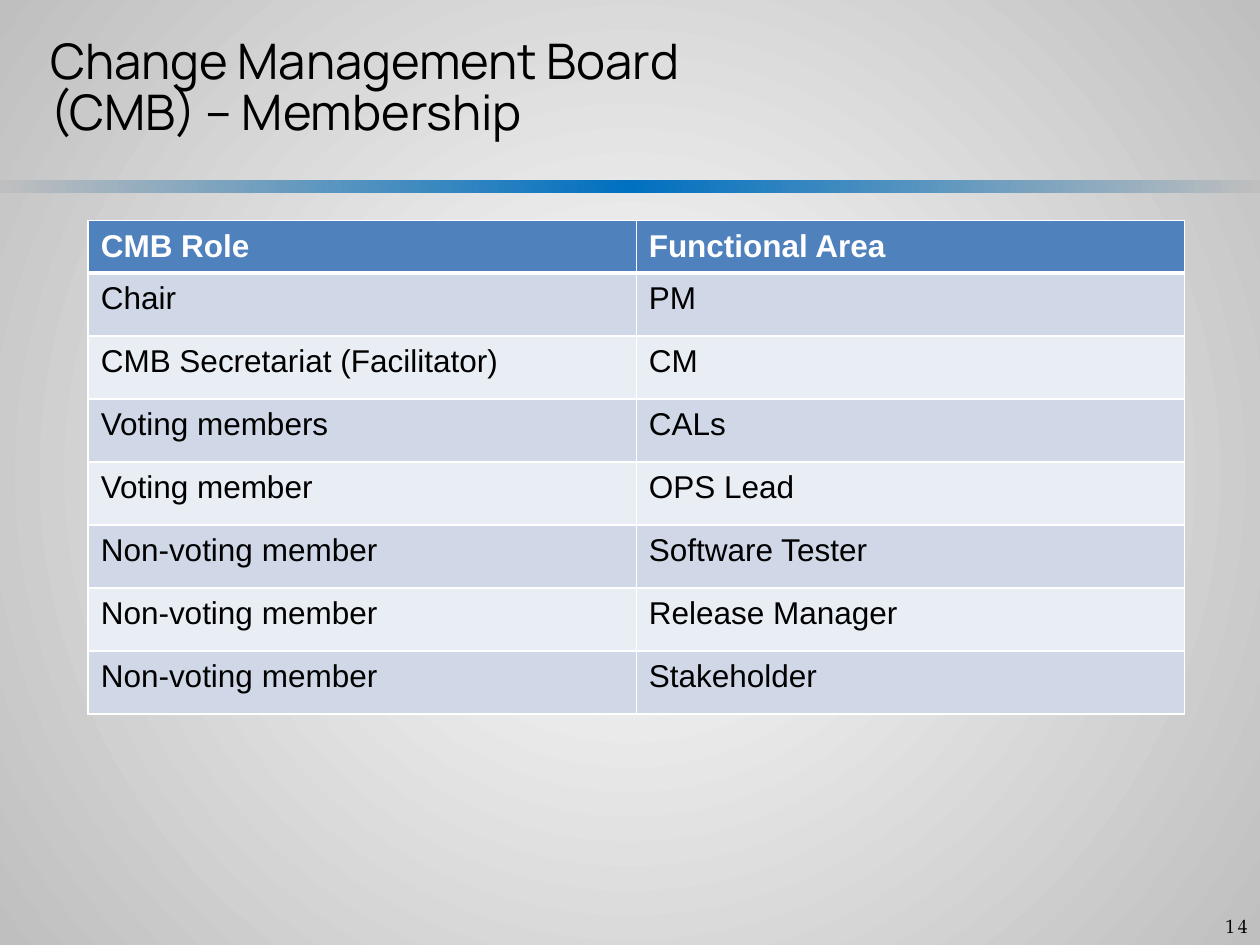
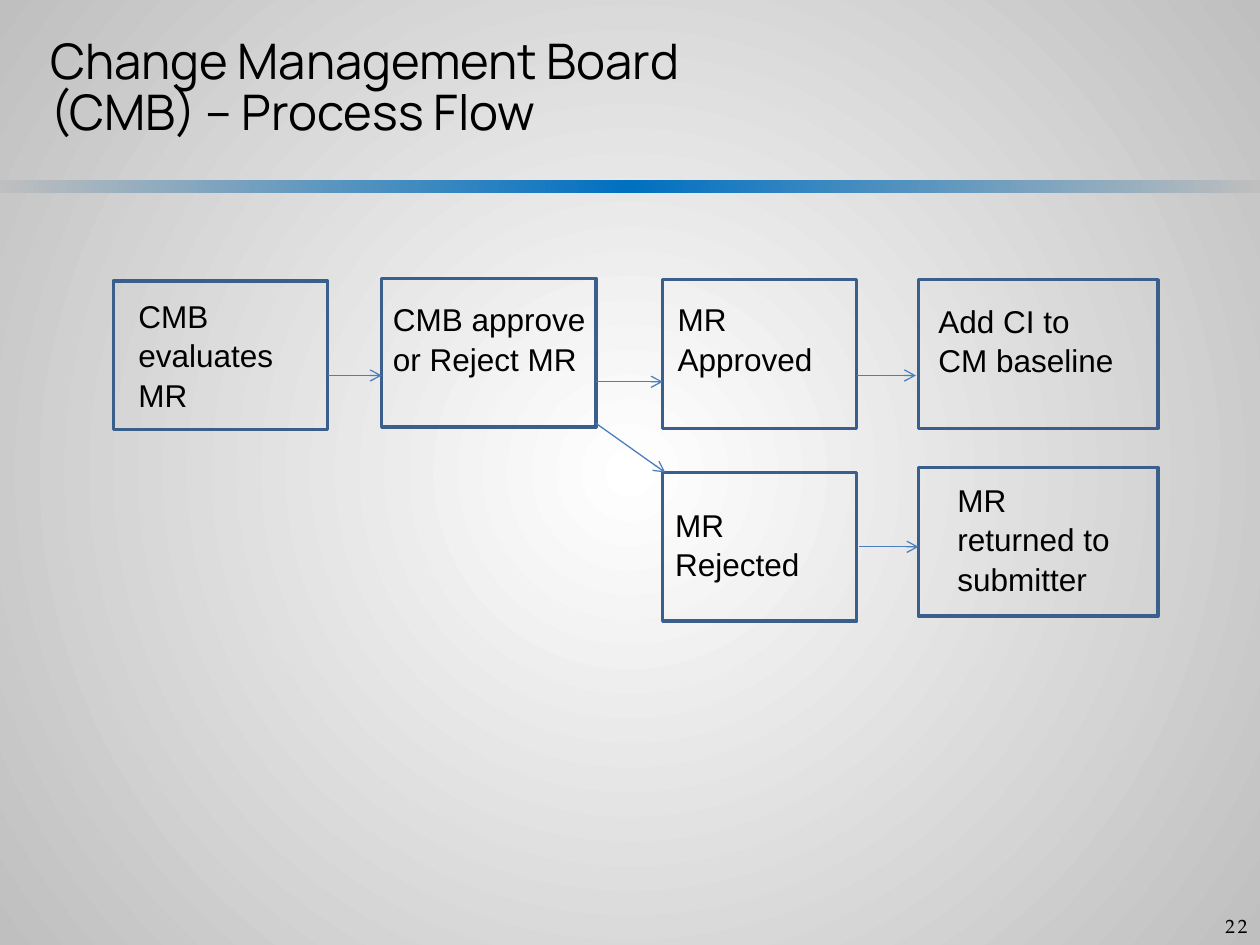
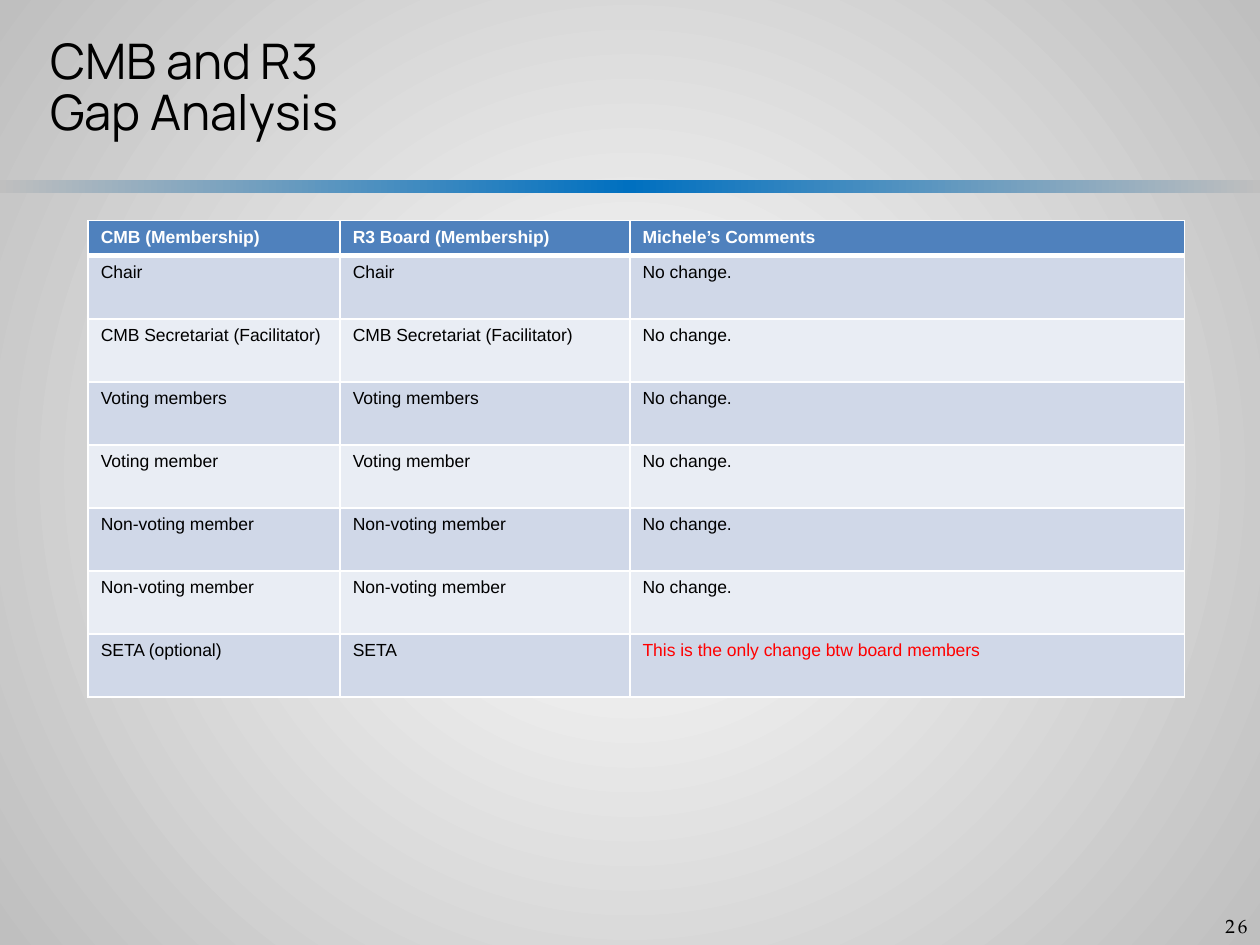
from pptx import Presentation
from pptx.dml.color import RGBColor
from pptx.enum.shapes import MSO_CONNECTOR as Connector, MSO_SHAPE as Preset
from pptx.enum.text import MSO_AUTO_SIZE as AutoSize, PP_ALIGN as Align
from pptx.oxml import parse_xml
from pptx.oxml.ns import nsdecls, qn
from pptx.util import Inches, Pt

BLACK, WHITE, RED = "000000", "FFFFFF", "FF0000"
GREY, BAND_BLUE = "BFBFBF", "0070C0"
HEADER_BLUE, ROW_DARK, ROW_LIGHT = "4F81BD", "D0D8E8", "E9EDF4"
BOX_LINE, ARROW_LINE = "3A5F8C", "4B7EBC"
TITLE_FONT, BODY_FONT, NUMBER_FONT = "Manrope", "Arial", "TeX Gyre Pagella"


def rgb(code):
    """Turn a hex string into a colour."""
    return RGBColor.from_string(code)


def drawing(tag, inner="", **attributes):
    """Make an element of the drawing namespace."""
    listed = "".join(f' {key}="{value}"' for key, value in attributes.items())
    return parse_xml(f'<a:{tag} {nsdecls("a")}{listed}>{inner}</a:{tag}>')


def gradient(colours, direction):
    """Make a gradient fill with evenly spaced stops."""
    step = 100000 // (len(colours) - 1)
    stops = "".join(f'<a:gs pos="{i * step}"><a:srgbClr val="{code}"/></a:gs>'
                    for i, code in enumerate(colours))
    return drawing("gradFill", f"<a:gsLst>{stops}</a:gsLst>{direction}", rotWithShape=1)


def replace_solid(properties, fill):
    """Put another fill in the place of a solid one."""
    properties.replace(properties.find(qn("a:solidFill")), fill)


class Deck:
    """Holds the shared style and the slide being built."""

    def __init__(self):
        """Start a 4:3 presentation."""
        self.show = Presentation()
        self.show.slide_width, self.show.slide_height = Inches(10), Inches(7.5)
        self.slide = None

    def start(self, title_lines, number):
        """Add a slide with background, band, number and title."""
        self.slide = self.show.slides.add_slide(self.show.slide_layouts[6])
        self.slide.background.fill.solid()
        replace_solid(self.slide.element.find(".//" + qn("p:bgPr")), gradient(
            [WHITE, GREY], '<a:path path="circle"><a:fillToRect l="50000" t="50000" '
                           'r="50000" b="50000"/></a:path>'))
        band = self.slide.shapes.add_shape(
            Preset.RECTANGLE, Inches(0), Inches(1.43), Inches(10), Inches(0.1))
        band.shadow.inherit = False
        band.line.fill.background()
        band.fill.solid()
        replace_solid(band.element.spPr,
                      gradient([GREY, BAND_BLUE, GREY], '<a:lin ang="0" scaled="0"/>'))
        page = self.text([str(number)], 9.17, 7.21, 0.83, 0.29, 11, NUMBER_FONT, 1)
        page.paragraphs[0].alignment = Align.RIGHT
        page.paragraphs[0].runs[0].font._element.set("spc", "170")
        title = self.text(title_lines, 0.3, 0.25, 6.4, 1.35, 28, TITLE_FONT, 0.88)
        title.margin_right = Inches(0.4)

    def run(self, paragraph, words, size, font=BODY_FONT, colour=BLACK, bold=False):
        """Add one styled run to a paragraph."""
        run = paragraph.add_run()
        run.text = words
        run.font.size, run.font.name, run.font.bold = Pt(size), font, bold
        run.font.color.rgb = rgb(colour)

    def text(self, lines, left, top, width, height, size=18, font=BODY_FONT, spacing=1.05):
        """Add a text box with one paragraph a line; return its frame."""
        frame = self.slide.shapes.add_textbox(
            Inches(left), Inches(top), Inches(width), Inches(height)).text_frame
        frame.word_wrap = True
        frame.auto_size = AutoSize.SHAPE_TO_FIT_TEXT
        for i, line in enumerate(lines):
            paragraph = frame.add_paragraph() if i else frame.paragraphs[0]
            paragraph.line_spacing = spacing
            self.run(paragraph, line, size, font)
        return frame

    def box(self, left, top, width, height=1.18):
        """Add an outlined step box."""
        step = self.slide.shapes.add_shape(
            Preset.RECTANGLE, Inches(left), Inches(top), Inches(width), Inches(height))
        step.shadow.inherit = False
        step.fill.background()
        step.line.color.rgb = rgb(BOX_LINE)
        step.line.width = Pt(2)

    def arrow(self, x1, y1, x2, y2):
        """Add a thin arrow."""
        link = self.slide.shapes.add_connector(
            Connector.STRAIGHT, Inches(x1), Inches(y1), Inches(x2), Inches(y2))
        link.line.color.rgb = rgb(ARROW_LINE)
        link.line.width = Pt(0.75)
        link.line._get_or_add_ln().append(drawing("tailEnd", type="arrow"))
        link.element.spPr.append(drawing("effectLst"))

    def cell(self, cell, words, row, size, colour):
        """Style and fill one table cell."""
        widths = {"lnL": 1, "lnR": 1, "lnT": 3 if row == 1 else 1, "lnB": 1 if row else 3}
        for side, width in widths.items():
            cell._tc.get_or_add_tcPr().append(drawing(
                side, f'<a:solidFill><a:srgbClr val="{WHITE}"/></a:solidFill>',
                w=Pt(width)))
        cell.fill.solid()
        shade = (ROW_DARK if row % 2 else ROW_LIGHT) if row else HEADER_BLUE
        cell.fill.fore_color.rgb = rgb(shade)
        paragraph = cell.text_frame.paragraphs[0]
        paragraph.line_spacing = 1.05
        self.run(paragraph, words, size, colour=colour if row else WHITE, bold=row == 0)

    def table(self, rows, widths, size, marked=()):
        """Add a banded table; marked texts are red."""
        heights = [0.28] + [0.5] * (len(rows) - 1)
        grid = self.slide.shapes.add_table(
            len(rows), len(widths), Inches(0.7), Inches(1.75),
            Inches(sum(widths)), Inches(sum(heights))).table
        grid.horz_banding = False
        for column, width in zip(grid.columns, widths):
            column.width = Inches(width)
        for r, (row, height) in enumerate(zip(rows, heights)):
            grid.rows[r].height = Inches(height)
            for c, words in enumerate(row):
                self.cell(grid.cell(r, c), words, r, size, RED if words in marked else BLACK)


def membership(deck):
    """Roles on the board."""
    deck.start(["Change Management Board (CMB) – Membership"], 14)
    deck.table([
        ("CMB Role", "Functional Area"),
        ("Chair", "PM"),
        ("CMB Secretariat (Facilitator)", "CM"),
        ("Voting members", "CALs"),
        ("Voting member", "OPS Lead"),
        ("Non-voting member", "Software Tester"),
        ("Non-voting member", "Release Manager"),
        ("Non-voting member", "Stakeholder"),
    ], [4.35, 4.35], 18)


def process_flow(deck):
    """Path of a request through the board."""
    deck.start(["Change Management Board (CMB) – Process Flow"], 22)
    steps = [  # box left, top, width; label and its left, top, width, height
        ((0.9, 2.23, 1.7), "CMB evaluates MR", (1, 2.29, 1.5, 1.01)),
        ((3.03, 2.21, 1.7), "CMB approve or Reject MR", (3.02, 2.32, 1.9, 0.71)),
        ((5.26, 2.22, 1.54), "MR Approved", (5.28, 2.32, 1.5, 0.71)),
        ((7.29, 2.22, 1.9), "Add CI to CM baseline", (7.35, 2.33, 1.67, 0.71)),
        ((5.26, 3.75, 1.54), "MR Rejected", (5.26, 3.95, 1.57, 0.71)),
        ((7.29, 3.71, 1.9), "MR returned to submitter", (7.5, 3.75, 1.51, 1.01)),
    ]
    for outline, label, place in steps:
        deck.box(*outline)
        deck.text([label], *place)
    for ends in [(2.6, 2.98, 3.03, 2.98), (4.73, 3.03, 5.26, 3.03),
                 (6.8, 2.98, 7.27, 2.98), (4.73, 3.36, 5.28, 3.75),
                 (6.82, 4.34, 7.29, 4.34)]:
        deck.arrow(*ends)


def gap_analysis(deck):
    """Differences between the two boards."""
    deck.start(["CMB and R3", "Gap Analysis"], 26)
    shared = ["Chair", "CMB Secretariat (Facilitator)", "Voting members",
              "Voting member", "Non-voting member", "Non-voting member"]
    change = "This is the only change btw board members"
    deck.table([
        ("CMB (Membership)", "R3 Board (Membership)", "Michele’s Comments"),
        *((role, role, "No change.") for role in shared),
        ("SETA (optional)", "SETA", change),
    ], [2, 2.3, 4.4], 10, marked=[change])


deck = Deck()
membership(deck)
process_flow(deck)
gap_analysis(deck)
deck.show.save("out.pptx")
